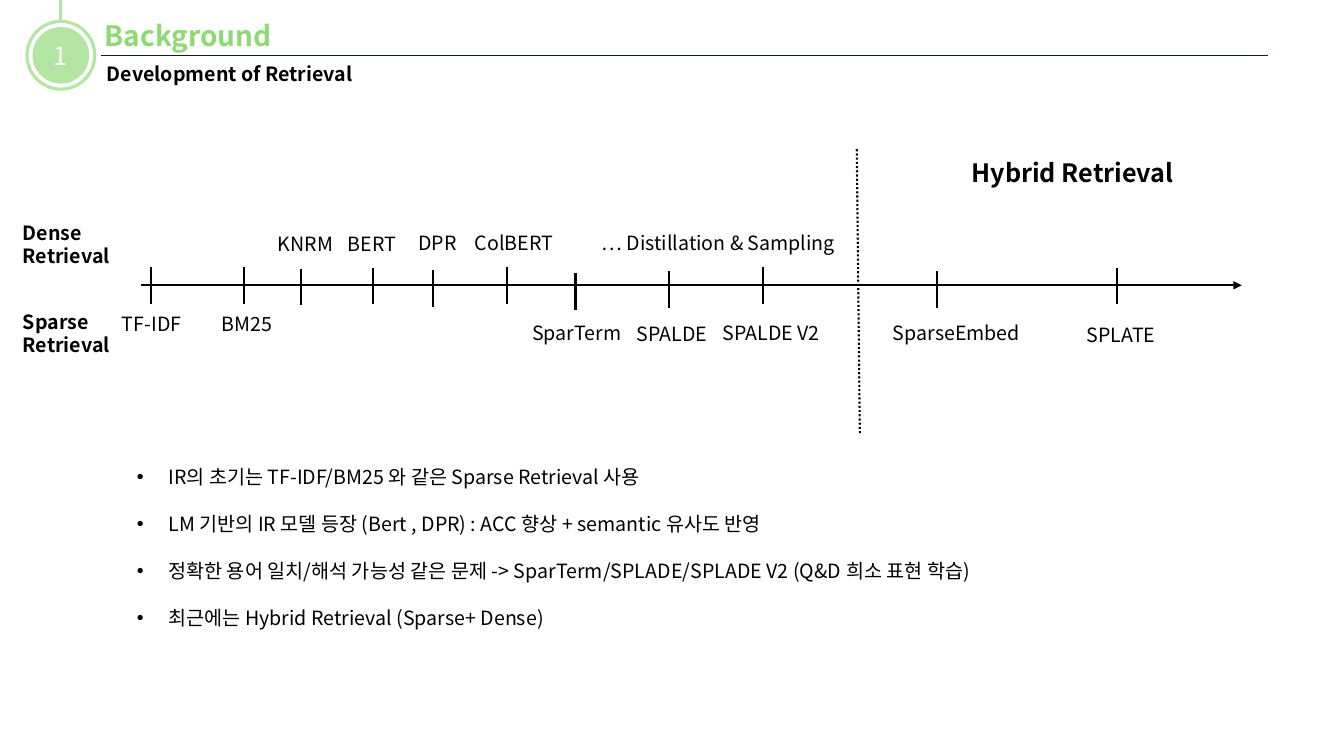
import pptx
import pptx.dml.color
import pptx.enum.dml
import pptx.enum.shapes
import pptx.enum.text
import pptx.oxml
import pptx.oxml.ns
import pptx.util

Pt = pptx.util.Pt
RGBColor = pptx.dml.color.RGBColor
PP_ALIGN = pptx.enum.text.PP_ALIGN
MSO_ANCHOR = pptx.enum.text.MSO_ANCHOR

BLACK = RGBColor(0x00, 0x00, 0x00)
WHITE = RGBColor(0xFF, 0xFF, 0xFF)
NAVY = RGBColor(0x0B, 0x1E, 0x31)
TITLE_GREEN = RGBColor(0x8E, 0xD9, 0x73)
BADGE_GREEN = RGBColor(0xB4, 0xE5, 0xA2)

AXIS_Y = 203.8
LABEL_HEIGHT = 24.5
TICK_LENGTH = 26

# name, label left, label top, label width, tick x, tick top
MILESTONES = [
    ("TF-IDF", 80, 219, 81, 108, 190.8),
    ("BM25", 151.2, 219.6, 81, 174.2, 190.8),
    ("KNRM", 191.5, 162, 81, 215.3, 192),
    ("BERT", 241.2, 162, 81, 266.4, 191.5),
    ("DPR", 291.6, 161.6, 81, 309.6, 193),
    ("ColBERT", 332, 161.3, 77, 362.2, 190.8),
    ("SparTerm", 373, 226, 81, 411.1, 195.1),
    ("SPALDE", 447.8, 226.3, 81, 478.1, 193.7),
    ("SPALDE V2", 509, 225.6, 91, 545, 190.8),
    ("SparseEmbed", 630.7, 225.6, 113, 669.6, 193.7),
    ("SPLATE", 769, 226.8, 65, 797.8, 191.5),
]

FINDINGS = [
    "IR의 초기는 TF-IDF/BM25 와 같은 Sparse Retrieval 사용",
    "LM 기반의 IR 모델 등장 (Bert , DPR) : ACC 향상 + semantic 유사도 반영",
    "정확한 용어 일치/해석 가능성 같은 문제 -> SparTerm/SPLADE/SPLADE V2 (Q&D 희소 표현 학습)",
    "최근에는 Hybrid Retrieval (Sparse+ Dense)",
]


def add_xml(parent, tag, **attributes):
    element = pptx.oxml.parse_xml(f"<{tag} {pptx.oxml.ns.nsdecls('a')}/>")
    for name, value in attributes.items():
        element.set(name, value)
    parent.append(element)


def write_text(paragraph, text, size=14, color=BLACK, bold=False,
               align=PP_ALIGN.LEFT, font_name="Noto Sans CJK KR"):
    run = paragraph.add_run()
    run.text = text
    run.font.size = Pt(size)
    run.font.bold = bold
    run.font.color.rgb = color
    run.font.name = font_name
    add_xml(run.font._element, "a:ea", typeface=font_name)
    paragraph.alignment = align


class SlideBuilder:
    def __init__(self, slide):
        self.slide = slide
        self.bullet_indent = 22.5
        self.bullet_gap = 16.8

    def text_box(self, left, top, width, height):
        shape = self.slide.shapes.add_textbox(Pt(left), Pt(top), Pt(width), Pt(height))
        shape.text_frame.word_wrap = True
        return shape.text_frame

    def label(self, text, left, top, width, height=LABEL_HEIGHT, **style):
        frame = self.text_box(left, top, width, height)
        write_text(frame.paragraphs[0], text, **style)

    def bullets(self, texts, left, top, width, height):
        frame = self.text_box(left, top, width, height)
        for index, text in enumerate(texts):
            paragraph = frame.add_paragraph() if index else frame.paragraphs[0]
            properties = paragraph._p.get_or_add_pPr()
            properties.set("marL", str(Pt(self.bullet_indent)))
            properties.set("indent", str(-Pt(self.bullet_indent)))
            add_xml(properties, "a:buFont", typeface="Arial")
            add_xml(properties, "a:buChar", char="•")
            if index:
                paragraph.space_before = Pt(self.bullet_gap)
            write_text(paragraph, text)

    def line(self, x1, y1, x2, y2, color=BLACK, width=1.5, dash=None, arrow=False):
        connector = self.slide.shapes.add_connector(
            pptx.enum.shapes.MSO_CONNECTOR.STRAIGHT, Pt(x1), Pt(y1), Pt(x2), Pt(y2))
        connector.line.color.rgb = color
        connector.line.width = Pt(width)
        if dash:
            connector.line.dash_style = dash
        if arrow:
            add_xml(connector.line._get_or_add_ln(), "a:tailEnd", type="triangle")
        add_xml(connector._element.spPr, "a:effectLst")
        return connector

    def circle(self, center_x, center_y, diameter, fill, line_width):
        shape = self.slide.shapes.add_shape(
            pptx.enum.shapes.MSO_SHAPE.OVAL, Pt(center_x - diameter / 2),
            Pt(center_y - diameter / 2), Pt(diameter), Pt(diameter))
        shape.shadow.inherit = False
        shape.fill.solid()
        shape.fill.fore_color.rgb = fill
        shape.line.color.rgb = BADGE_GREEN
        shape.line.width = Pt(line_width)
        return shape

    def badge(self, number, center_x, center_y):
        stem = self.line(center_x, 0, center_x, 15, color=BADGE_GREEN, width=2.25)
        ring = self.circle(center_x, center_y, 48.4, WHITE, 2.25)
        stem.end_connect(ring, 0)
        disc = self.circle(center_x, center_y, 39, BADGE_GREEN, 1.5)
        disc.text_frame.vertical_anchor = MSO_ANCHOR.MIDDLE
        write_text(disc.text_frame.paragraphs[0], number, size=18,
                   color=WHITE, align=PP_ALIGN.CENTER)


def main():
    presentation = pptx.Presentation()
    presentation.slide_width = Pt(960)
    presentation.slide_height = Pt(540)
    builder = SlideBuilder(presentation.slides.add_slide(presentation.slide_layouts[6]))

    builder.line(72, 39.6, 905.8, 39.6, color=NAVY, width=1)
    builder.label("Background", 67.7, 9.4, 240, 32, size=20, color=TITLE_GREEN, bold=True)
    builder.label("Development of Retrieval", 69.1, 41, 480, bold=True)
    builder.badge("1", 43.5, 39.5)

    builder.line(100.8, AXIS_Y, 887, AXIS_Y, arrow=True)
    for name, left, top, width, tick_x, tick_top in MILESTONES:
        builder.line(tick_x, tick_top, tick_x, tick_top + TICK_LENGTH)
        builder.label(name, left, top, width)
    builder.label("… Distillation & Sampling", 422.6, 161.3, 182.2)
    for text, top in (("Dense Retrieval", 154.1), ("Sparse Retrieval", 217.8)):
        builder.label(text, 9.2, top, 95, 41, bold=True)

    builder.line(612, 106.6, 614.2, 310.3,
                 dash=pptx.enum.dml.MSO_LINE.ROUND_DOT)
    builder.label("Hybrid Retrieval", 686.9, 108.7, 173.5, 29, size=18, bold=True)
    builder.bullets(FINDINGS, 90.7, 328.3, 774.7, 130)
    presentation.save("out.pptx")


if __name__ == "__main__":
    main()
